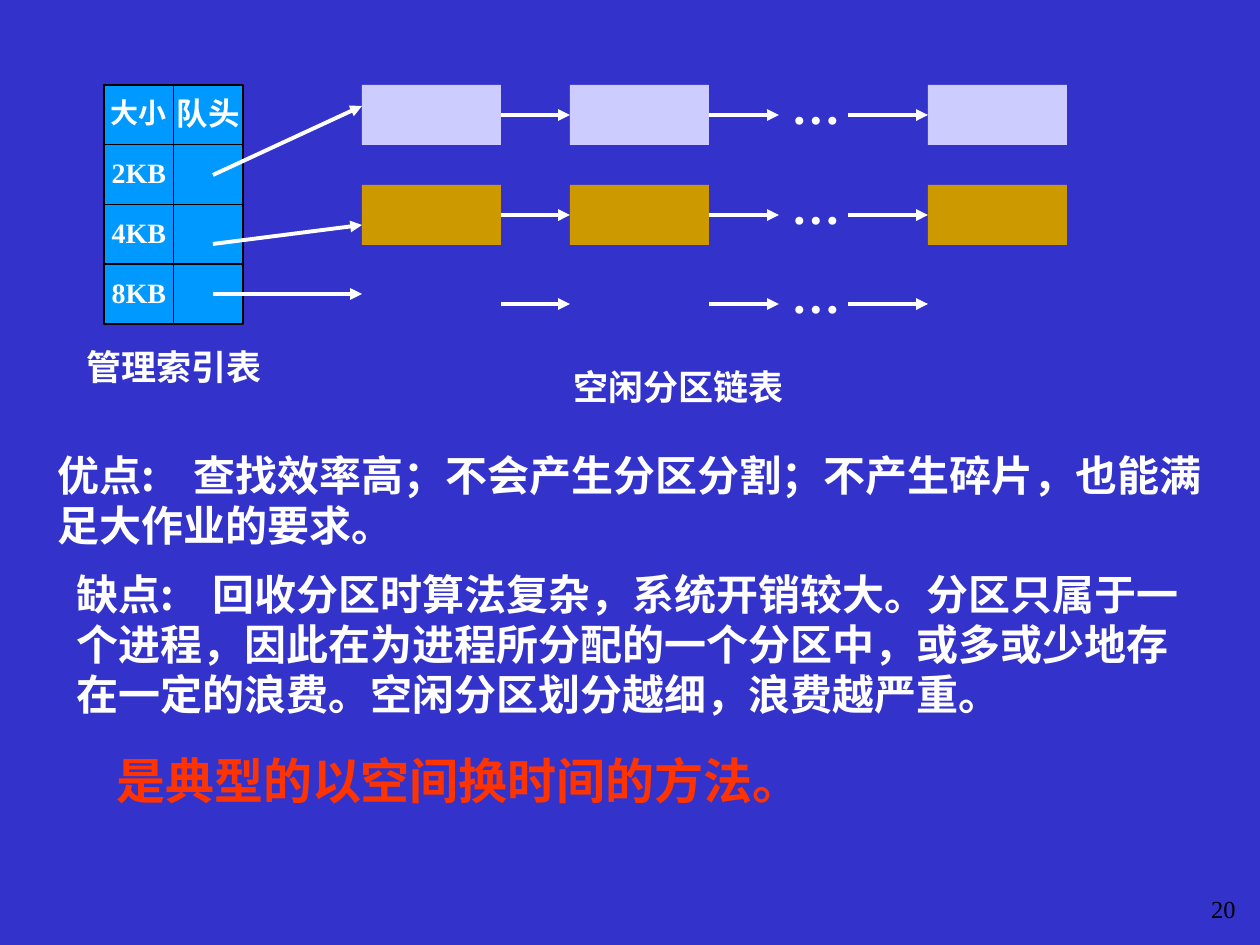
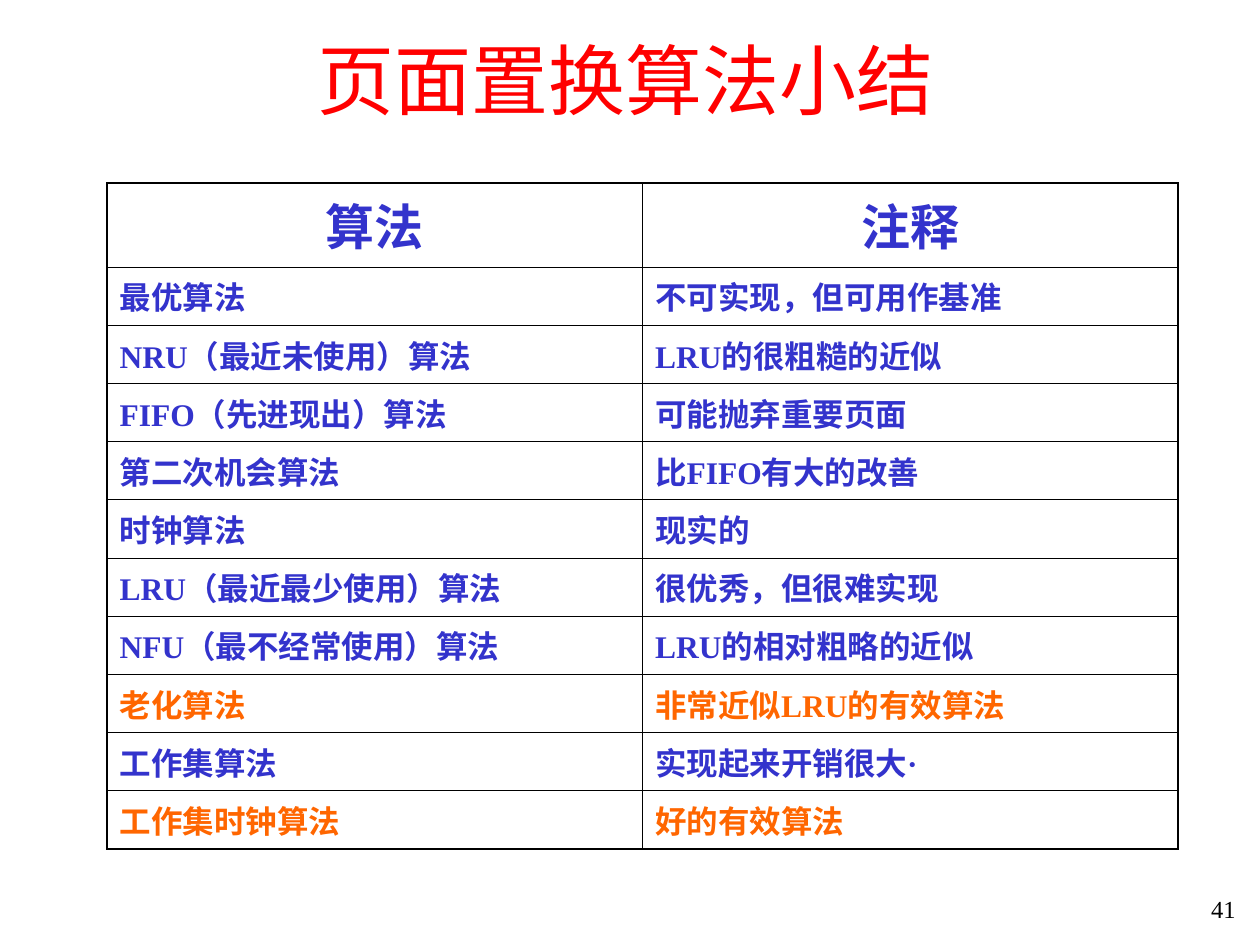
"""Build two slides: free-partition lists and a summary of page replacement."""
from lxml import etree
from pptx import Presentation
from pptx.dml.color import RGBColor
from pptx.enum import shapes, text
from pptx.oxml import ns
from pptx.util import Pt

PX = 914400 / 126
LATIN = "Times New Roman"
CHINESE = "Noto Sans CJK SC"
BLUE = RGBColor(0x33, 0x33, 0xCC)
WHITE = RGBColor(0xFF, 0xFF, 0xFF)
BLACK = RGBColor(0, 0, 0)
RED = RGBColor(0xFF, 0, 0)
VERMILION = RGBColor(0xFF, 0x33, 0)
ORANGE = RGBColor(0xFF, 0x66, 0)
SKY = RGBColor(0, 0x99, 0xFF)
LAVENDER = RGBColor(0xCC, 0xCC, 0xFF)
GOLD = RGBColor(0xCC, 0x99, 0)


def px(*lengths):
    return [round(length * PX) for length in lengths]


def write(frame, words, size, color, bold=True, align=text.PP_ALIGN.LEFT,
          spacing=None, tab=None, latin=LATIN):
    para = frame.paragraphs[0]
    for name, value in {"alignment": align, "line_spacing": spacing}.items():
        setattr(para, name, value)
    if tab:
        stops = etree.SubElement(para._p.get_or_add_pPr(), ns.qn("a:tabLst"))
        etree.SubElement(stops, ns.qn("a:tab"), pos=str(px(tab)[0]), algn="l")
    span = para.add_run()
    span.text = words
    for name, value in {"name": latin, "size": Pt(size), "bold": bold}.items():
        setattr(span.font, name, value)
    span.font.color.rgb = color
    etree.SubElement(span.font._element, ns.qn("a:ea"), typeface=CHINESE)


deck = Presentation()
deck.slide_width, deck.slide_height = px(1260, 945)
pages = []
for number, background in (("20", BLUE), ("41", WHITE)):
    page = deck.slides.add_slide(deck.slide_layouts[6])
    page.background.fill.solid()
    page.background.fill.fore_color.rgb = background
    box = page.shapes.add_textbox(*px(1190, 888, 58, 55))
    box.text_frame.word_wrap = True
    write(box.text_frame, number, 14, BLACK, False, text.PP_ALIGN.RIGHT)
    pages.append(page)
lists_page, summary_page = pages

body = {"size": 24, "color": WHITE, "tab": 136, "latin": CHINESE}
caption = {"size": 20, "color": WHITE, "spacing": 0.9}
passages = [
    (45, 443, 1196, 113, body,
     "优点:\t查找效率高；不会产生分区分割；不产生碎片，也能满足大作业的要求。"),
    (64, 562, 1134, 164, body,
     "缺点:\t回收分区时算法复杂，系统开销较大。分区只属于一个进程，"
     "因此在为进程所分配的一个分区中，或多或少地存在一定的浪费。"
     "空闲分区划分越细，浪费越严重。"),
    (104, 751, 883, 66, {"size": 28, "color": VERMILION, "spacing": 0.9},
     "是典型的以空间换时间的方法。"),
    (74, 344, 218, 50, caption, "管理索引表"),
    (561, 364, 307, 50, caption, "空闲分区链表"),
]
for left, top, width, height, style, words in passages:
    box = lists_page.shapes.add_textbox(*px(left, top, width, height))
    box.text_frame.word_wrap = True
    write(box.text_frame, words, **style)

index_rows = [("大小", "队头"), ("2KB", ""), ("4KB", ""), ("8KB", "")]
INDEX_LEFT, INDEX_TOP = 104, 85
cell_width, cell_height = 139 / 2, 239 / len(index_rows)
for row, labels in enumerate(index_rows):
    for column, label in enumerate(labels):
        cell = lists_page.shapes.add_shape(
            shapes.MSO_SHAPE.RECTANGLE,
            *px(INDEX_LEFT + column * cell_width, INDEX_TOP + row * cell_height,
                cell_width, cell_height))
        cell.shadow.inherit = False
        cell.fill.solid()
        cell.fill.fore_color.rgb = SKY
        cell.line.color.rgb = BLACK
        cell.line.width = Pt(0.75)
        if label:
            cell.text_frame.word_wrap = False
            cell.text_frame.vertical_anchor = text.MSO_ANCHOR.MIDDLE
            write(cell.text_frame, label, 18 if column else 16, WHITE,
                  align=text.PP_ALIGN.CENTER, spacing=0.9)

BLOCK_LEFTS, BLOCK_WIDTH, BLOCK_HEIGHT = (362, 570, 928), 139, 60
POINTER_LEFT, GAP_LEFT, GAP_RIGHT = 213, 779, 848
chains = [(85, LAVENDER, 175, 106), (185, GOLD, 244, 225), (274, BLUE, 294, 294)]
for top, color, pointer_start, pointer_end in chains:
    blocks = []
    for left in BLOCK_LEFTS:
        block = lists_page.shapes.add_shape(
            shapes.MSO_SHAPE.RECTANGLE, *px(left, top, BLOCK_WIDTH, BLOCK_HEIGHT))
        block.shadow.inherit = False
        block.fill.solid()
        block.fill.fore_color.rgb = color
        block.line.fill.background()
        blocks.append(block)
    first, second, last = blocks
    middle = top + BLOCK_HEIGHT // 2
    arrows = [
        (POINTER_LEFT, pointer_start, BLOCK_LEFTS[0], pointer_end, None, None),
        (BLOCK_LEFTS[0] + BLOCK_WIDTH, middle, BLOCK_LEFTS[1], middle, first, second),
        (BLOCK_LEFTS[1] + BLOCK_WIDTH, middle, GAP_LEFT, middle, second, None),
        (GAP_RIGHT, middle, BLOCK_LEFTS[2], middle, None, last),
    ]
    for *ends, source, target in arrows:
        arrow = lists_page.shapes.add_connector(shapes.MSO_CONNECTOR.STRAIGHT, *px(*ends))
        if source:
            arrow.begin_connect(source, 3)
        if target:
            arrow.end_connect(target, 1)
        arrow.line.color.rgb = WHITE
        arrow.line.width = Pt(2.25)
        etree.SubElement(arrow.line._get_or_add_ln(), ns.qn("a:tailEnd"), type="triangle")
        etree.SubElement(arrow._element.spPr, ns.qn("a:effectLst"))
    box = lists_page.shapes.add_textbox(*px(GAP_LEFT, top - 9, 128, 66))
    box.text_frame.word_wrap = True
    write(box.text_frame, "…", 28, WHITE, spacing=0.9)

title = summary_page.shapes.add_textbox(*px(90, 0, 1071, 158))
title.text_frame.word_wrap = True
title.text_frame.vertical_anchor = text.MSO_ANCHOR.MIDDLE
write(title.text_frame, "页面置换算法小结", 44, RED, False, text.PP_ALIGN.CENTER)

algorithms = [
    ("算法", "注释"),
    ("最优算法", "不可实现，但可用作基准"),
    ("NRU（最近未使用）算法", "LRU的很粗糙的近似"),
    ("FIFO（先进现出）算法", "可能抛弃重要页面"),
    ("第二次机会算法", "比FIFO有大的改善"),
    ("时钟算法", "现实的"),
    ("LRU（最近最少使用）算法", "很优秀，但很难实现"),
    ("NFU（最不经常使用）算法", "LRU的相对粗略的近似"),
    ("老化算法", "非常近似LRU的有效算法"),
    ("工作集算法", "实现起来开销很大·"),
    ("工作集时钟算法", "好的有效算法"),
]
recommended = {"老化算法", "工作集时钟算法"}
last_row = len(algorithms) - 1
HEADER_HEIGHT, ENTRIES_HEIGHT = 84, 582
table = summary_page.shapes.add_table(
    len(algorithms), 2, *px(107, 183, 1071, HEADER_HEIGHT + ENTRIES_HEIGHT)).table
table.first_row = table.horz_banding = False
for row, entry in enumerate(algorithms):
    table.rows[row].height = px(ENTRIES_HEIGHT / last_row if row else HEADER_HEIGHT)[0]
    for column, words in enumerate(entry):
        cell = table.cell(row, column)
        color = ORANGE if entry[0] in recommended else BLUE
        if row:
            write(cell.text_frame, words, 18, color)
        else:
            write(cell.text_frame, words, 28, color, align=text.PP_ALIGN.CENTER)
        outer_sides = {"lnL": column == 0, "lnR": column == 1,
                       "lnT": row == 0, "lnB": row == last_row}
        for side, outer in outer_sides.items():
            border = etree.SubElement(cell._tc.get_or_add_tcPr(), ns.qn("a:" + side),
                                      w=str(Pt(1.08 if outer else 0.45)))
            paint = etree.SubElement(border, ns.qn("a:solidFill"))
            etree.SubElement(paint, ns.qn("a:srgbClr"), val=str(BLACK))
        cell.fill.background()

deck.save("out.pptx")
